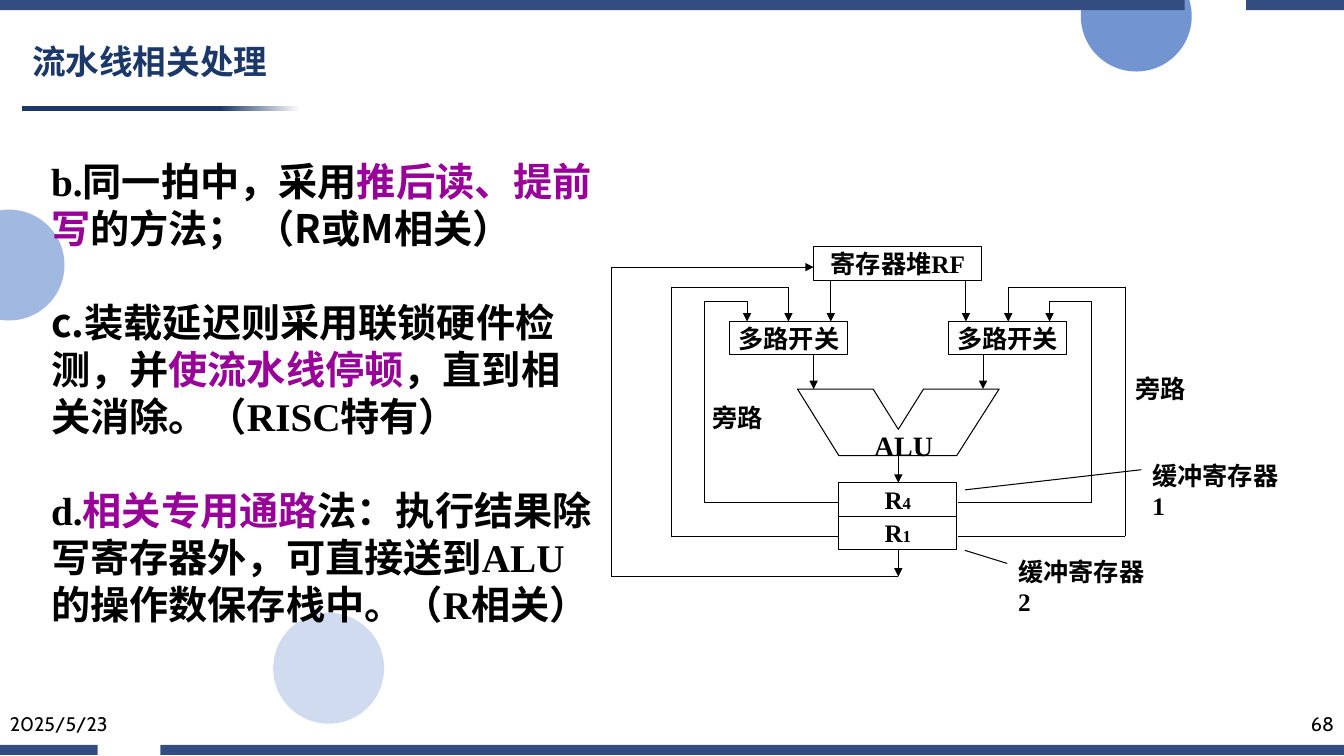
from itertools import pairwise

from lxml import etree
from pptx import Presentation
from pptx.dml.color import RGBColor
from pptx.enum.shapes import MSO_CONNECTOR, MSO_SHAPE
from pptx.enum.text import MSO_ANCHOR, PP_ALIGN
from pptx.oxml.ns import qn
from pptx.util import Emu, Pt

RECT, OVAL = MSO_SHAPE.RECTANGLE, MSO_SHAPE.OVAL
STRAIGHT = MSO_CONNECTOR.STRAIGHT
TOP, MIDDLE, BOTTOM = MSO_ANCHOR.TOP, MSO_ANCHOR.MIDDLE, MSO_ANCHOR.BOTTOM
LEFT, CENTER, RIGHT = PP_ALIGN.LEFT, PP_ALIGN.CENTER, PP_ALIGN.RIGHT

WIDTH, HEIGHT = 1333, 750
SERIF, SANS, FOOTER_FONT = "Times New Roman", "Noto Sans CJK SC", "Cabin"
BLACK, WHITE, PURPLE = "000000", "FFFFFF", "990099"
NAVY, BAR_BLUE, BUBBLE_BLUE = "1B3868", "334D80", "4472C4"


def px(*lengths):
    """Turn px (100 to the inch) into EMU."""
    return [Emu(length * 9144) for length in lengths]


def rgb(color):
    return RGBColor.from_string(color)


def paint(shape, fill=None, line=None):
    shape.shadow.inherit = False
    if fill:
        shape.fill.solid()
        shape.fill.fore_color.rgb = rgb(fill)
    else:
        shape.fill.background()
    if line:
        shape.line.color.rgb = rgb(line)
        shape.line.width = Pt(0.75)
    else:
        shape.line.fill.background()


def add_span(para, text, size, font=SERIF, color=BLACK, bold=True):
    span = para.add_run()
    span.text = text
    span.font.size = Pt(size)
    span.font.bold = bold
    span.font.color.rgb = rgb(color)
    span.font.name = font
    east_asian = etree.SubElement(span.font._element, qn("a:ea"))
    east_asian.set("typeface", SANS)


def add_label(page, box, text, size, anchor=TOP, align=LEFT, wrap=False, **style):
    label = page.shapes.add_textbox(*px(*box))
    frame = label.text_frame
    frame.word_wrap = wrap
    frame.vertical_anchor = anchor
    frame.paragraphs[0].alignment = align
    add_span(frame.paragraphs[0], text, size, **style)


def add_outline(page, contours, **colors):
    """Draw one shape from closed contours, each a list of px points."""
    first, *others = [[px(*point) for point in points] for points in contours]
    builder = page.shapes.build_freeform(*first[0])
    builder.add_line_segments(first[1:], close=True)
    for points in others:
        builder.move_to(*points[0])
        builder.add_line_segments(points[1:], close=True)
    paint(builder.convert_to_shape(), **colors)


def add_wire(page, points, arrow=True):
    """Join the points with straight lines; the last may carry an arrowhead."""
    for start, end in pairwise(points):
        wire = page.shapes.add_connector(STRAIGHT, *px(*start), *px(*end))
        wire.line.color.rgb = rgb(BLACK)
        wire.line.width = Pt(0.75)
        properties = wire._element.spPr
        if arrow and end == points[-1]:
            head = etree.SubElement(properties.find(qn("a:ln")), qn("a:tailEnd"))
            head.set("type", "triangle")
        etree.SubElement(properties, qn("a:effectLst"))


def add_bar(page, top, gap_start, gap_end, height=10):
    spans = [(0, gap_start), (gap_end, WIDTH)]
    add_outline(page, [[(left, top), (right, top), (right, top + height),
                        (left, top + height)] for left, right in spans], fill=BAR_BLUE)


def add_backdrop(page):
    for left, top, opacity in ((271, 608, 25), (-46, 208, 50), (1072, -39, 75)):
        bubble = page.shapes.add_shape(OVAL, *px(left, top, 110, 110))
        paint(bubble, fill=BUBBLE_BLUE)
        color = bubble._element.spPr.find(qn("a:solidFill"))[0]
        etree.SubElement(color, qn("a:alpha")).set("val", str(opacity * 1000))
    add_bar(page, 739, 97, 159)
    add_bar(page, 0, 1175, 1236)


def add_title(page, left, top, width, height):
    underline = page.shapes.add_shape(RECT, *px(left, top + 72, 276, 5))
    paint(underline)
    underline.fill.gradient()
    underline.fill.gradient_angle = 0
    for stop, color, position in zip(underline.fill.gradient_stops, (NAVY, WHITE), (0.71, 1)):
        stop.color.rgb = rgb(color)
        stop.position = position
    add_label(page, (left, top, width, height), "流水线相关处理", 24, MIDDLE,
              wrap=True, font=SANS, color=NAVY)


def add_footer(page, left, top, width, height):
    style = dict(anchor=BOTTOM, wrap=True, font=FOOTER_FONT, bold=False)
    add_label(page, (left, top, 300, height), "2025/5/23", 14, **style)
    add_label(page, (left + width - 300, top, 300, height), "68", 14, align=RIGHT, **style)


def add_methods(page, left, top, width, height):
    methods = [
        [("b.同一拍中，采用", SERIF, BLACK), ("推后读、提前写", SERIF, PURPLE),
         ("的方法； ", SERIF, BLACK), ("（R或M相关）", SANS, BLACK)],
        [("c.", SANS, BLACK), ("装载延迟则采用联锁硬件检测，并", SERIF, BLACK),
         ("使流水线停顿", SERIF, PURPLE), ("，直到相关消除。（RISC特有）", SERIF, BLACK)],
        [("d.", SERIF, BLACK), ("相关专用通路", SERIF, PURPLE),
         ("法：执行结果除写寄存器外，可直接送到ALU的操作数保存栈中。（R相关）", SERIF, BLACK)],
    ]
    frame = page.shapes.add_textbox(*px(left, top, width, height)).text_frame
    frame.word_wrap = True
    for index, spans in enumerate(methods):
        para = frame.add_paragraph() if index else frame.paragraphs[0]
        if index:
            para.space_before = Pt(33.5)
        for text, font, color in spans:
            add_span(para, text, 28, font, color)


def add_datapath(page, left, top):
    def at(*points):
        return [(left + x, top + y) for x, y in points]

    def mirrored(points):
        return [(568 - x, y) for x, y in points]

    nodes = [(200, 0, 167, "寄存器堆RF", ""), (117, 74, 117, "多路开关", ""),
             (334, 74, 117, "多路开关", ""), (225, 234, 117, "R", "4"), (225, 267, 117, "R", "1")]
    for x, y, width, name, number in nodes:
        node = page.shapes.add_shape(RECT, *px(left + x, top + y, width, 33))
        paint(node, line=BLACK)
        frame = node.text_frame
        frame.word_wrap = False
        frame.vertical_anchor = MIDDLE
        para = frame.paragraphs[0]
        para.alignment = CENTER
        add_span(para, name, 18)
        if number:
            add_span(para, number, 12)

    alu = at((184, 141), (259, 141), (284, 181), (309, 141), (384, 141), (342, 207), (225, 207))
    add_outline(page, [alu], line=BLACK)

    register_read = [(217, 34), (217, 74)]
    operand = [(200, 107), (200, 141)]
    inner_bypass = [(225, 254), (92, 254), (92, 54), (134, 54), (134, 74)]
    outer_bypass = [(225, 287), (59, 287), (59, 40), (175, 40), (175, 74)]
    for route in (register_read, operand, inner_bypass, outer_bypass):
        add_wire(page, at(*route))
        add_wire(page, at(*mirrored(route)))

    alu_result = [(284, 207), (284, 234)]
    buffer_output = [(284, 301), (284, 327)]
    write_back = [(284, 327), (0, 327), (0, 20), (200, 20)]
    for route in (alu_result, buffer_output, write_back):
        add_wire(page, at(*route))
    for leader in ([(350, 241), (525, 221)], [(350, 301), (392, 314)]):
        add_wire(page, at(*leader), arrow=False)

    labels = [("ALU", 250, 175, 79, 20, False), ("旁路", 90, 149, 70, 18, False),
              ("旁路", 509, 120, 70, 18, False), ("缓冲寄存器2", 393, 302, 155, 18, True),
              ("缓冲寄存器1", 526, 207, 155, 18, True)]
    for text, x, y, width, size, wrap in labels:
        add_label(page, (left + x, top + y, width, 40), text, size, wrap=wrap)


def main():
    deck = Presentation()
    deck.slide_width, deck.slide_height = px(WIDTH, HEIGHT)
    page = deck.slides.add_slide(deck.slide_layouts[6])
    add_backdrop(page)
    add_title(page, 22, 33, 358, 56)
    add_footer(page, 0, 695, WIDTH, 40)
    add_methods(page, 41, 151, 557, 481)
    add_datapath(page, 607, 245)
    deck.save("out.pptx")


if __name__ == "__main__":
    main()
